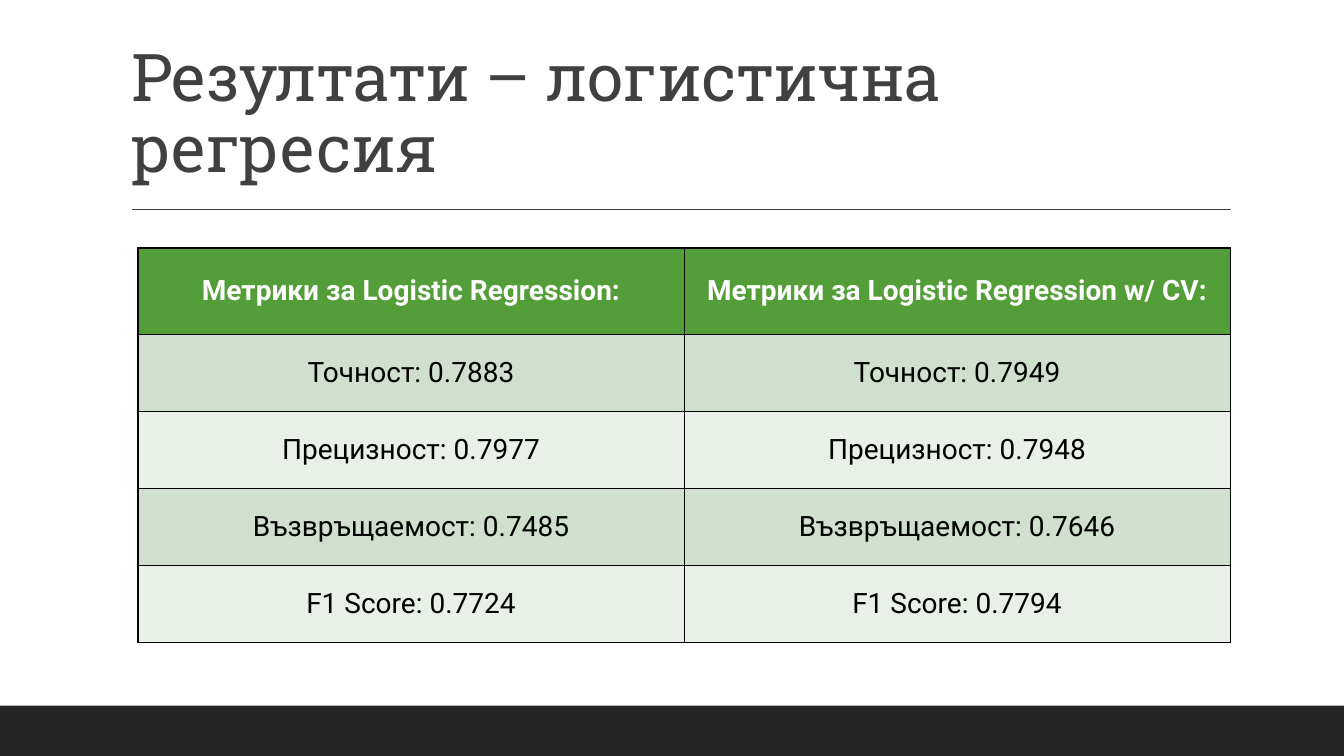
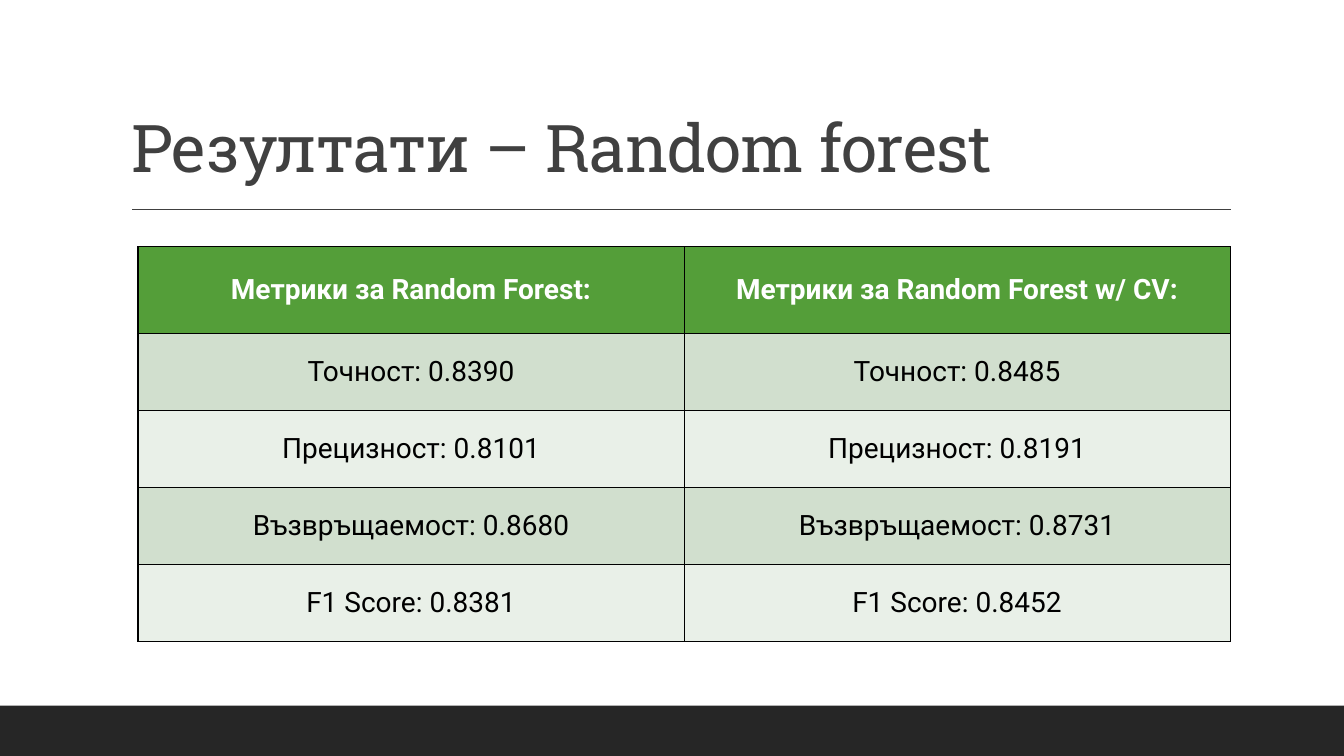
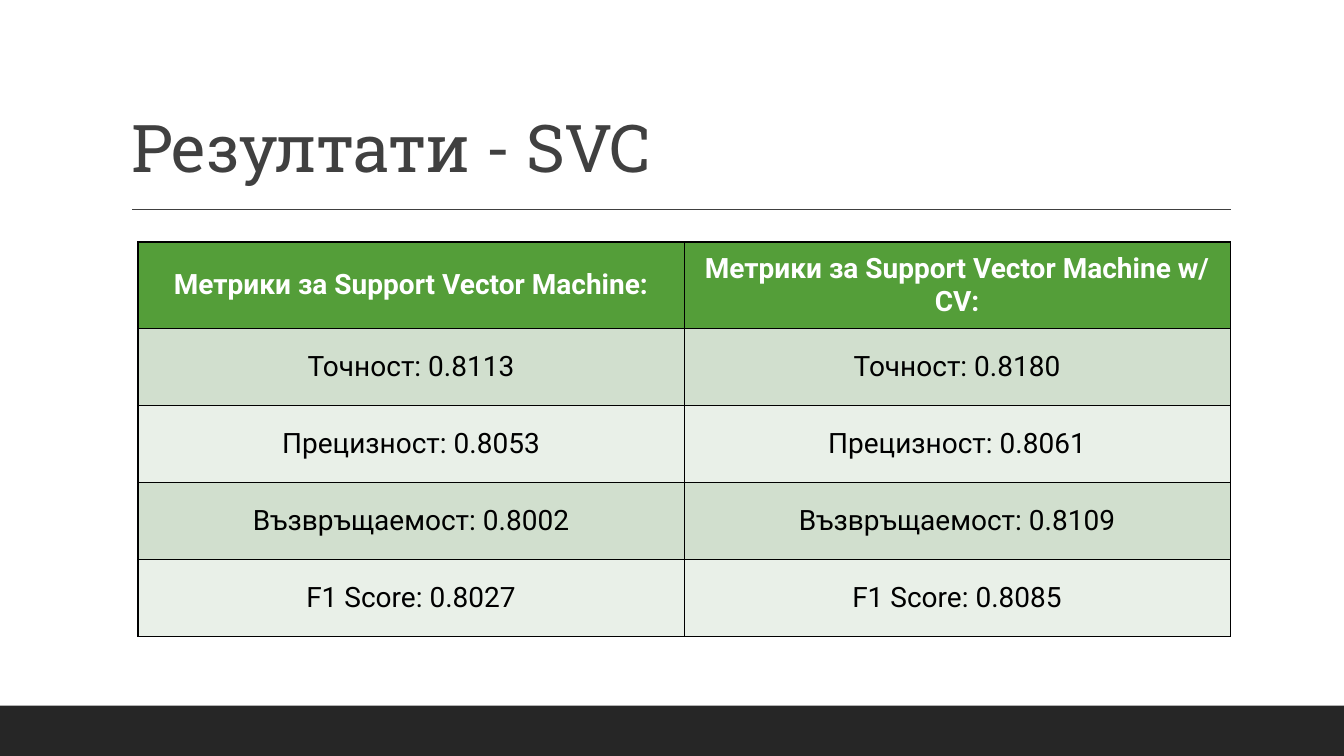
from pptx import Presentation
from pptx.dml.color import RGBColor
from pptx.enum.shapes import MSO_CONNECTOR, MSO_SHAPE
from pptx.enum.text import MSO_ANCHOR, MSO_AUTO_SIZE, PP_ALIGN
from pptx.oxml.ns import qn
from pptx.util import Cm, Pt
from lxml.etree import SubElement

WHITE = RGBColor(0xFF, 0xFF, 0xFF)
BLACK = RGBColor(0x00, 0x00, 0x00)
GREY = RGBColor(0x40, 0x40, 0x40)
DARK = RGBColor(0x26, 0x26, 0x26)
GREEN = RGBColor(0x54, 0x9E, 0x39)
SAGE = RGBColor(0xD1, 0xDF, 0xCE)
MIST = RGBColor(0xE9, 0xF0, 0xE8)

WIDTH, HEIGHT = 33.87, 19.05
METRICS = ["Точност", "Прецизност", "Възвръщаемост", "F1 Score"]

# Title, model, top of the table, then plain and cross-validated scores
RESULTS = [
    ("Резултати – логистична регресия", "Logistic Regression", 6.25,
     ["0.7883", "0.7977", "0.7485", "0.7724"],
     ["0.7949", "0.7948", "0.7646", "0.7794"]),
    ("Резултати – Random forest", "Random Forest", 6.22,
     ["0.8390", "0.8101", "0.8680", "0.8381"],
     ["0.8485", "0.8191", "0.8731", "0.8452"]),
    ("Резултати - SVC", "Support Vector Machine", 6.1,
     ["0.8113", "0.8053", "0.8002", "0.8027"],
     ["0.8180", "0.8061", "0.8109", "0.8085"]),
]


class Deck:
    head_font, body_font = "Roboto Slab", "Roboto"
    head_size, body_size = Pt(47), Pt(20)

    def __init__(self):
        self.prs = Presentation()
        self.prs.slide_width, self.prs.slide_height = Cm(WIDTH), Cm(HEIGHT)
        self.slide = None

    def add(self, title):
        """Start a slide with the shared band, rule and title."""
        self.slide = self.prs.slides.add_slide(self.prs.slide_layouts[5])
        self.band()
        self.rule()
        self.title(title)

    def band(self):
        high = 1.27
        band = self.slide.shapes.add_shape(
            MSO_SHAPE.RECTANGLE, 0, Cm(HEIGHT - high), Cm(WIDTH), Cm(high))
        band.shadow.inherit = False
        band.fill.solid()
        band.fill.fore_color.rgb = DARK
        band.line.fill.background()

    def rule(self):
        rule = self.slide.shapes.add_connector(
            MSO_CONNECTOR.STRAIGHT, Cm(3.33), Cm(5.28), Cm(31.01), Cm(5.28))
        rule.line.color.rgb = GREY
        rule.line.width = Pt(1)
        SubElement(rule._element.spPr, qn("a:effectLst"))

    def title(self, text):
        box = self.slide.shapes.title
        box.left, box.top = Cm(3.05), Cm(0.79)
        box.width, box.height = Cm(27.94), Cm(4.04)
        frame = box.text_frame
        frame.text = text
        frame.word_wrap = True
        frame.auto_size = MSO_AUTO_SIZE.NONE
        frame.vertical_anchor = MSO_ANCHOR.BOTTOM
        para = frame.paragraphs[0]
        para.alignment = PP_ALIGN.LEFT
        para.line_spacing = 0.9
        self.font(para, self.head_font, self.head_size, GREY, False)
        para.runs[0].font._element.set("spc", "-50")

    def font(self, para, name, size, color, bold):
        font = para.font
        font.name, font.size, font.bold = name, size, bold
        font.color.rgb = color

    def table(self, top, rows):
        """Draw rows of text, the first one as the header."""
        wide, head, high = 13.76, 2.18, 1.94
        count, cols = len(rows), len(rows[0])
        table = self.slide.shapes.add_table(
            count, cols, Cm(3.48), Cm(top), Cm(cols * wide),
            Cm(head + (count - 1) * high)).table
        table.horz_banding = False
        for col in table.columns:
            col.width = Cm(wide)
        for i, texts in enumerate(rows):
            table.rows[i].height = Cm(high if i else head)
            fill = (SAGE if i % 2 else MIST) if i else GREEN
            for j, text in enumerate(texts):
                self.cell(table.cell(i, j), text, fill, i == 0)

    def cell(self, cell, text, fill, head):
        cell.text = text
        cell.vertical_anchor = MSO_ANCHOR.MIDDLE
        para = cell.text_frame.paragraphs[0]
        para.alignment = PP_ALIGN.CENTER
        self.font(para, self.body_font, self.body_size,
                  WHITE if head else BLACK, head)
        self.border(cell)
        cell.fill.solid()
        cell.fill.fore_color.rgb = fill

    def border(self, cell):
        """Line all four sides; must come before the fill."""
        props = cell._tc.get_or_add_tcPr()
        for side in ("a:lnL", "a:lnR", "a:lnT", "a:lnB"):
            line = SubElement(props, qn(side), w=str(Pt(1)))
            solid = SubElement(line, qn("a:solidFill"))
            SubElement(solid, qn("a:srgbClr"), val=str(BLACK))


def main():
    deck = Deck()
    for title, model, top, plain, cross in RESULTS:
        deck.add(title)
        rows = [(f"Метрики за {model}:", f"Метрики за {model} w/ CV:")]
        rows += [(f"{name}: {a}", f"{name}: {b}")
                 for name, a, b in zip(METRICS, plain, cross)]
        deck.table(top, rows)
    deck.prs.save("out.pptx")


if __name__ == "__main__":
    main()
